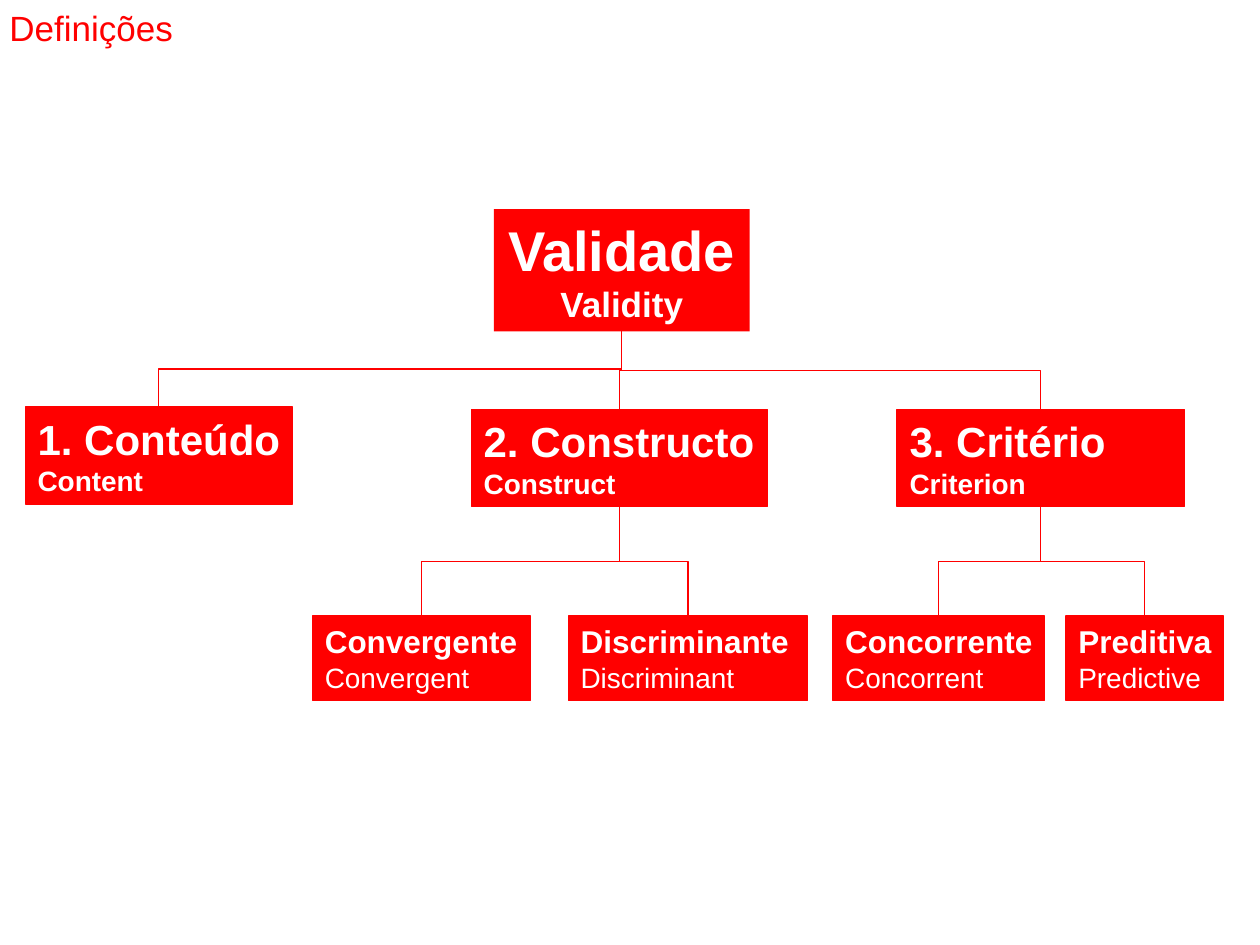
from pptx import Presentation
from pptx.dml.color import RGBColor
from pptx.enum.shapes import MSO_CONNECTOR as Connector, MSO_SHAPE as Shape
from pptx.enum.text import MSO_ANCHOR as Anchor, PP_ALIGN as Align
from pptx.oxml.ns import qn
from pptx.util import Inches, Pt
from lxml.etree import SubElement

TITLE = "Definições"

# name: (term, English term, level, left, top, width)
CONCEPTS = {
    "validity": ("Validade", "Validity", 0, 3.92, 1.66, 2.03),
    "content": ("1. Conteúdo", "Content", 1, 0.2, 3.23, 2.12),
    "construct": ("2. Constructo", "Construct", 1, 3.74, 3.25, 2.35),
    "criterion": ("3. Critério", "Criterion", 1, 7.12, 3.25, 2.28),
    "convergent": ("Convergente", "Convergent", 2, 2.48, 4.89, 1.73),
    "discriminant": ("Discriminante", "Discriminant", 2, 4.51, 4.89, 1.9),
    "concurrent": ("Concorrente", "Concorrent", 2, 6.61, 4.89, 1.68),
    "predictive": ("Preditiva", "Predictive", 2, 8.46, 4.89, 1.25),
}
BRANCHES = {
    "validity": ["content", "construct", "criterion"],
    "construct": ["convergent", "discriminant"],
    "criterion": ["concurrent", "predictive"],
}

THEME = {
    "font": "Arial",
    "red": RGBColor(0xFF, 0x00, 0x00),
    "white": RGBColor(0xFF, 0xFF, 0xFF),
    "line": Pt(0.75),
    "title_size": 20,
}
LEVELS = [
    {"height": 0.97, "sizes": (32, 20), "bold": (True, True), "align": Align.CENTER},
    {"height": 0.77, "sizes": (24, 16), "bold": (True, True), "align": Align.LEFT},
    {"height": 0.67, "sizes": (18, 16), "bold": (True, False), "align": Align.LEFT},
]
BOTTOM_SITE, TOP_SITE = 2, 0


def write(paragraph, text, *, size, color, bold=False, align=Align.LEFT):
    paragraph.text = text
    paragraph.alignment = align
    font = paragraph.font
    font.name, font.size, font.bold = THEME["font"], Pt(size), bold
    font.color.rgb = color


def prepare_frame(frame, anchor):
    frame.word_wrap = False
    frame.vertical_anchor = anchor
    frame.margin_left = frame.margin_right = Inches(0.1)
    frame.margin_top = frame.margin_bottom = Inches(0.05)


def add_concept(slide, term, english, level, left, top, width):
    style = LEVELS[level]
    box = slide.shapes.add_shape(
        Shape.RECTANGLE, Inches(left), Inches(top), Inches(width), Inches(style["height"]))
    box.shadow.inherit = False
    box.fill.solid()
    box.fill.fore_color.rgb = THEME["red"]
    if level == 0:
        box.line.fill.background()
    else:
        box.line.color.rgb = THEME["red"]
        box.line.width = THEME["line"]
    frame = box.text_frame
    prepare_frame(frame, Anchor.TOP)
    paragraphs = (frame.paragraphs[0], frame.add_paragraph())
    for paragraph, text, size, bold in zip(
            paragraphs, (term, english), style["sizes"], style["bold"]):
        write(paragraph, text, size=size, bold=bold,
              color=THEME["white"], align=style["align"])
    return box


def add_branch(slide, parent, child):
    """Glue an elbow from parent to child, turned so that it leaves downwards."""
    start_x, start_y = parent.left + parent.width // 2, parent.top + parent.height
    end_x, end_y = child.left + child.width // 2, child.top
    branch = slide.shapes.add_connector(Connector.ELBOW, start_x, start_y, end_x, end_y)
    branch.begin_connect(parent, BOTTOM_SITE)
    branch.end_connect(child, TOP_SITE)
    branch.width, branch.height = end_y - start_y, abs(end_x - start_x)
    branch.left = (start_x + end_x - branch.width) // 2
    branch.top = (start_y + end_y - branch.height) // 2
    goes_right = end_x > start_x
    xfrm = branch._element.spPr.find(qn("a:xfrm"))
    xfrm.set("rot", str((270 if goes_right else 90) * 60000))
    xfrm.set("flipH", "1" if goes_right else "0")
    xfrm.set("flipV", "0")
    branch.line.color.rgb = THEME["red"]
    branch.line.width = THEME["line"]
    SubElement(branch._element.spPr, qn("a:effectLst"))


def main():
    deck = Presentation()
    deck.slide_width, deck.slide_height = Inches(10), Inches(7.5)
    slide = deck.slides.add_slide(deck.slide_layouts[5])

    title = slide.shapes.title
    title.left, title.top = Inches(-0.04), Inches(0)
    title.width, title.height = Inches(1.53), Inches(0.44)
    prepare_frame(title.text_frame, Anchor.TOP)
    write(title.text_frame.paragraphs[0], TITLE, size=THEME["title_size"],
          color=THEME["red"], align=Align.CENTER)

    boxes = {name: add_concept(slide, *concept) for name, concept in CONCEPTS.items()}
    for parent, children in BRANCHES.items():
        for child in children:
            add_branch(slide, boxes[parent], boxes[child])
    deck.save("out.pptx")


if __name__ == "__main__":
    main()
